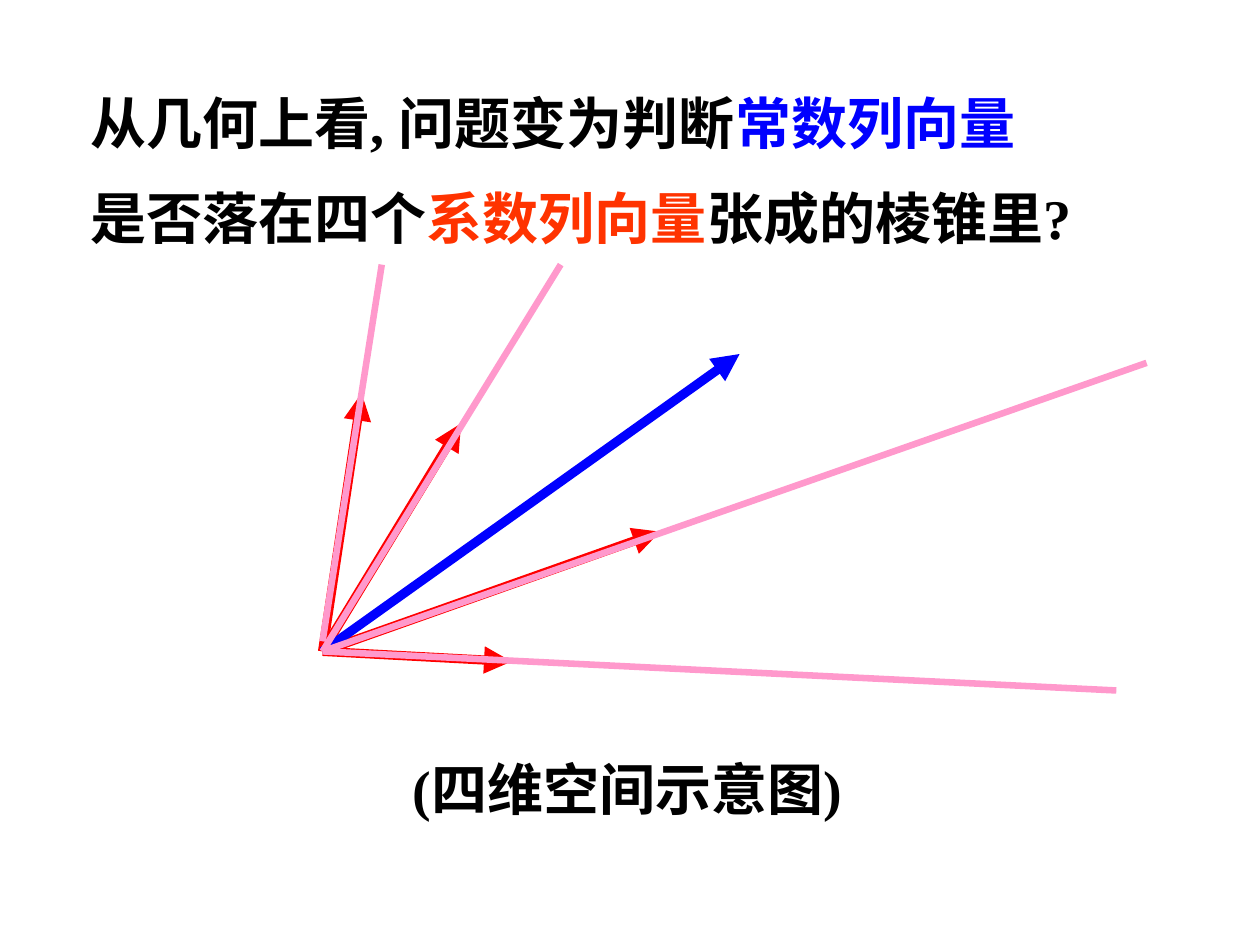
from dataclasses import dataclass

from lxml.etree import SubElement
from pptx import Presentation
from pptx.dml.color import RGBColor
from pptx.enum.shapes import MSO_CONNECTOR
from pptx.enum.text import PP_ALIGN
from pptx.oxml.ns import qn
from pptx.util import Inches, Pt


@dataclass(frozen=True)
class Theme:
    font: str = "Times New Roman"
    size: int = 32
    ink: str = "000000"
    blue: str = "0000FF"
    orange: str = "FF3300"
    red: str = "FF0000"
    pink: str = "FF99CC"
    thick: float = 5.25
    thin: float = 3.75


def write(par, text, *, font, size, color, bold=True):
    run = par.add_run()
    run.text = text
    run.font.name = font
    run.font.size = Pt(size)
    run.font.bold = bold
    run.font.color.rgb = RGBColor.from_string(color)


class Board:
    """Holds the theme and the slide being drawn."""

    def __init__(self, slide, theme):
        self.slide = slide
        self.theme = theme

    def text(self, left, top, width, height, rows, align=PP_ALIGN.LEFT):
        """Each row is one paragraph: a list of (text, colour) pairs."""
        box = self.slide.shapes.add_textbox(
            Inches(left), Inches(top), Inches(width), Inches(height))
        frame = box.text_frame
        frame.word_wrap = True
        for i, row in enumerate(rows):
            par = frame.add_paragraph() if i else frame.paragraphs[0]
            par.alignment = align
            par.line_spacing = 1.25
            par.space_before = Pt(6.4 if i else 0)
            for text, color in row:
                write(par, text, font=self.theme.font,
                      size=self.theme.size, color=color)

    def line(self, start, end, color, width, arrow=False):
        line = self.slide.shapes.add_connector(
            MSO_CONNECTOR.STRAIGHT, *map(Inches, start + end))
        line.line.color.rgb = RGBColor.from_string(color)
        line.line.width = Pt(width)
        if arrow:
            SubElement(line.line._get_or_add_ln(), qn("a:tailEnd"),
                       type="triangle")
        SubElement(line._element.spPr, qn("a:effectLst"))


def main():
    deck = Presentation()
    deck.slide_width, deck.slide_height = Inches(10), Inches(7.5)
    theme = Theme()
    board = Board(deck.slides.add_slide(deck.slide_layouts[6]), theme)

    board.text(0.62, 0.52, 8.9, 1.6, [
        [("从几何上看, 问题变为判断", theme.ink), ("常数列向量", theme.blue)],
        [("是否落在四个", theme.ink), ("系数列向量", theme.orange),
         ("张成的棱锥里?", theme.ink)],
    ])
    board.text(2.48, 5.81, 5, 0.8, [[("(四维空间示意图)", theme.ink)]],
               PP_ALIGN.CENTER)

    apex = (2.56, 5.17)
    for tip in [(3.66, 3.36), (2.87, 3.12), (5.24, 4.22), (4.06, 5.25)]:
        board.line(apex, tip, theme.red, theme.thick, arrow=True)
    board.line(apex, (5.87, 2.81), theme.blue, theme.thick, arrow=True)
    for end in [(8.86, 5.48), (9.1, 2.88), (4.45, 2.1)]:
        board.line(apex, end, theme.pink, theme.thin)
    board.line((2.56, 5.09), (3.03, 2.1), theme.pink, theme.thin)

    deck.save("out.pptx")


if __name__ == "__main__":
    main()
